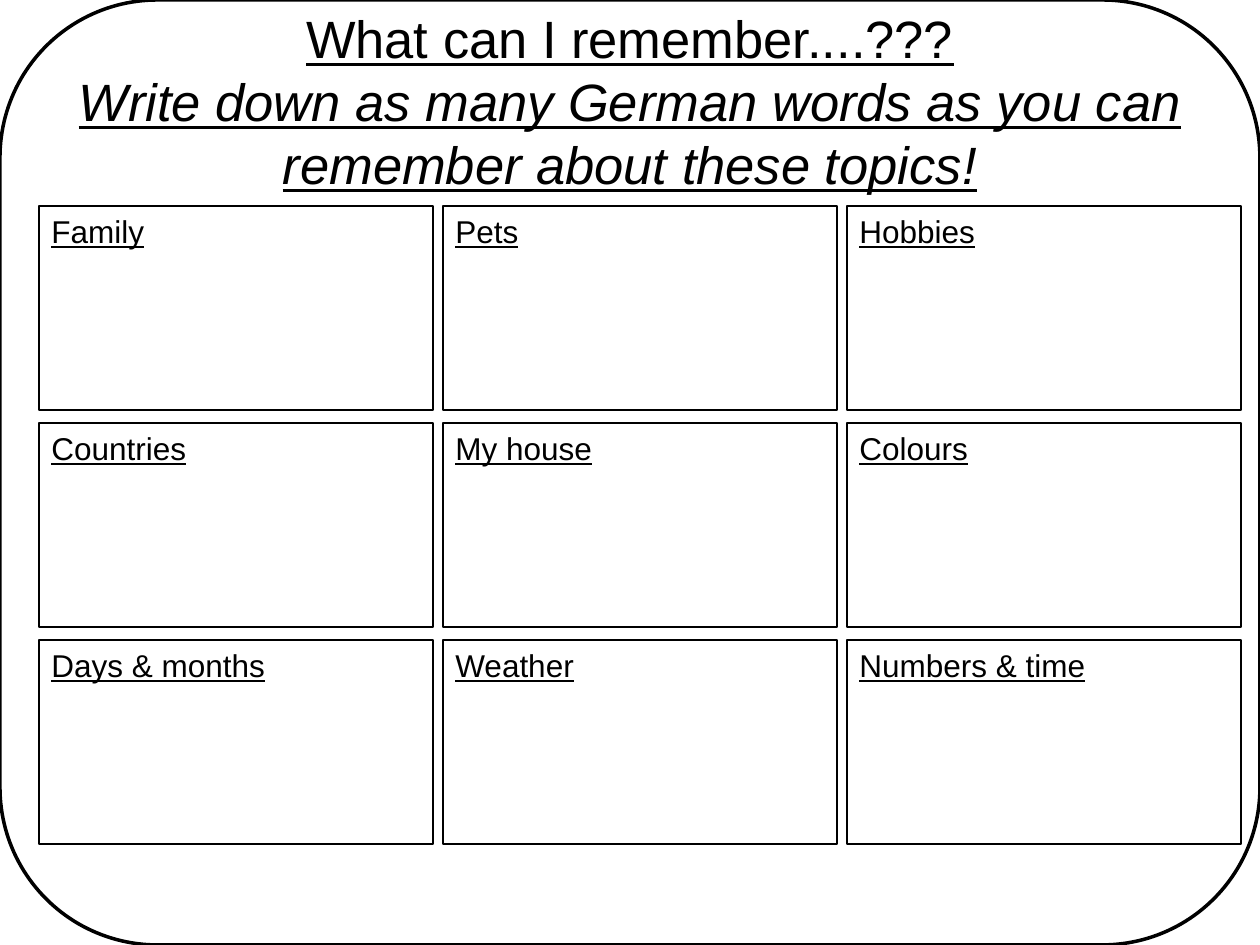
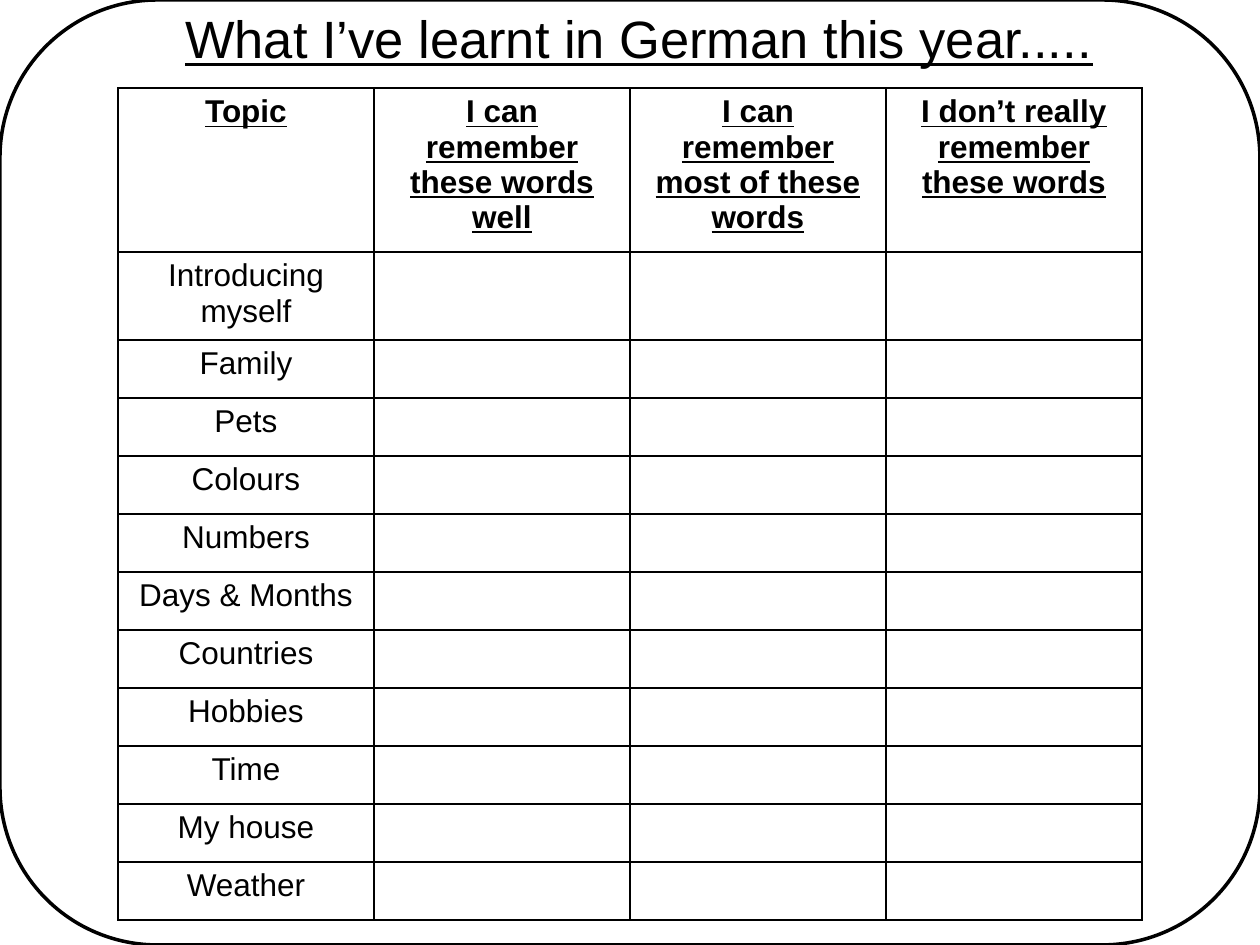
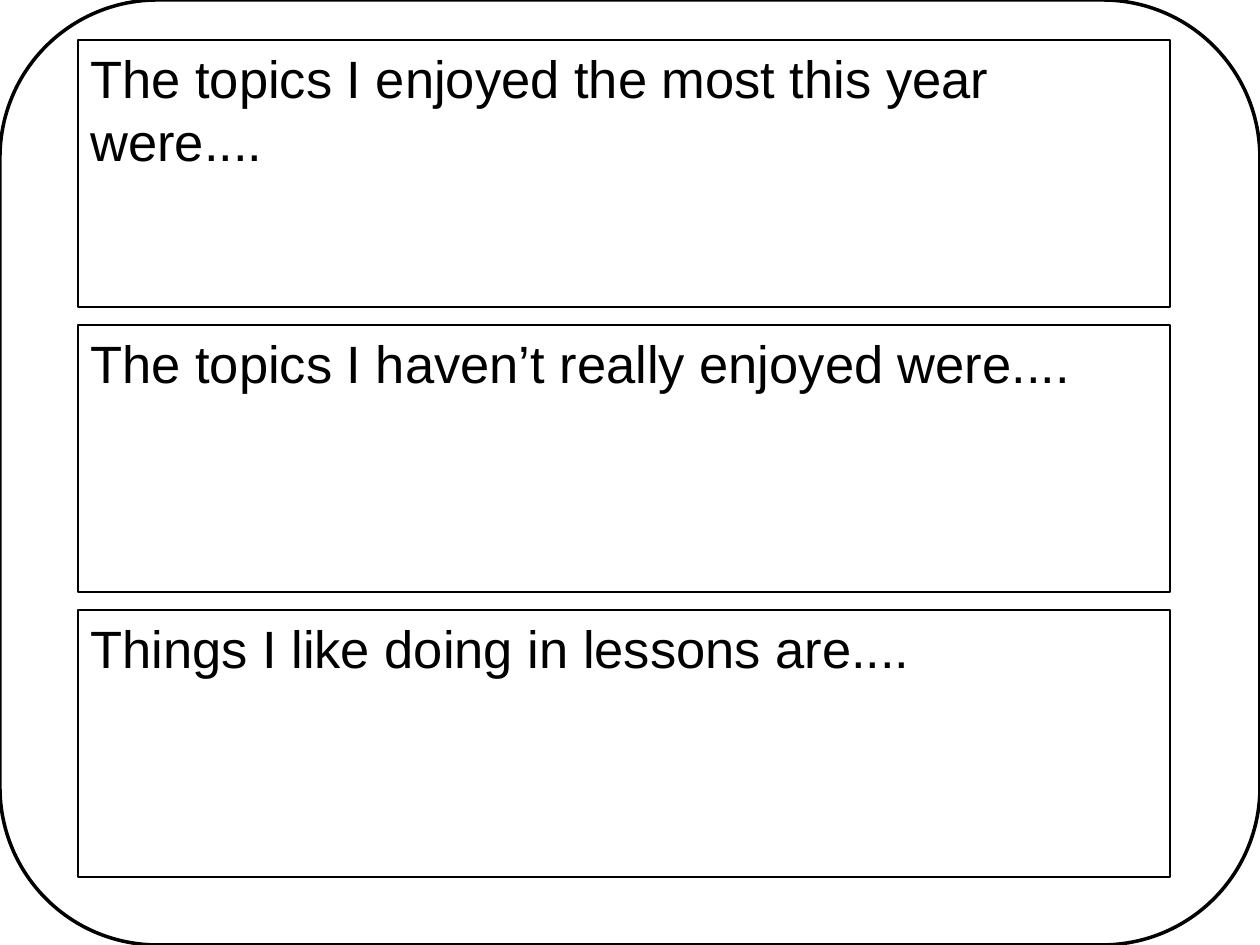
"""Build a three-slide German end-of-year review worksheet."""
from dataclasses import dataclass

from lxml import etree
from pptx import Presentation
from pptx.dml.color import RGBColor
from pptx.enum.shapes import MSO_SHAPE
from pptx.enum.text import MSO_ANCHOR, MSO_AUTO_SIZE, PP_ALIGN
from pptx.oxml.ns import qn
from pptx.util import Inches, Pt

ROUNDED, RECTANGLE = MSO_SHAPE.ROUNDED_RECTANGLE, MSO_SHAPE.RECTANGLE
LEFT, CENTER = PP_ALIGN.LEFT, PP_ALIGN.CENTER
TOP, NO_AUTOFIT = MSO_ANCHOR.TOP, MSO_AUTO_SIZE.NONE
PX = Inches(1) / 126


@dataclass(frozen=True)
class Theme:
    ink: RGBColor = RGBColor(0, 0, 0)
    paper: RGBColor = RGBColor(255, 255, 255)
    font: str = "Arial"
    large: int = Pt(30)
    small: int = Pt(18)
    frame_line: int = Pt(2)
    box_line: int = Pt(0.75)
    table_line: int = Pt(1)


THEME = Theme()


def write_text(text_frame, text, alignment, **font_values):
    text_frame.text = text
    for paragraph in text_frame.paragraphs:
        paragraph.alignment = alignment
        for name, value in {"name": THEME.font, **font_values}.items():
            setattr(paragraph.font, name, value)
        paragraph.font.color.rgb = THEME.ink


def add_outline(slide, preset, bounds, line_width):
    shape = slide.shapes.add_shape(preset, *[round(length * PX) for length in bounds])
    shape.shadow.inherit = False
    shape.fill.background()
    shape.line.color.rgb = THEME.ink
    shape.line.width = line_width
    return shape


presentation = Presentation()
presentation.slide_width = Inches(10)
presentation.slide_height = Inches(7.5)

TITLE_ONLY, BLANK = presentation.slide_layouts[5], presentation.slide_layouts[6]
SLIDE_TITLES = [
    ("What can I remember....???\n"
     "Write down as many German words as you can remember about these topics!",
     (0, 0, 1260, 202)),
    ("What I’ve learnt in German this year.....", (88, 0, 1102, 76)),
    None,
]

for heading in SLIDE_TITLES:
    slide = presentation.slides.add_slide(TITLE_ONLY if heading else BLANK)
    frame = add_outline(slide, ROUNDED, (0, 0, 1260, 945), THEME.frame_line)
    frame.fill.solid()
    frame.fill.fore_color.rgb = THEME.paper
    if heading:
        text, bounds = heading
        title = slide.shapes.title
        title.element.addprevious(frame.element)
        for name, length in zip(("left", "top", "width", "height"), bounds):
            setattr(title, name, round(length * PX))
        title.text_frame.auto_size = NO_AUTOFIT
        title.text_frame.vertical_anchor = TOP
        write_text(title.text_frame, text, CENTER, size=THEME.large, underline=True)

topic_slide, progress_slide, opinion_slide = presentation.slides
topic_slide.shapes.title.text_frame.paragraphs[1].font.italic = True

TOPIC_GRID = [
    ["Family", "Pets", "Hobbies"],
    ["Countries", "My house", "Colours"],
    ["Days & months", "Weather", "Numbers & time"],
]
OPINIONS = [
    "The topics I enjoyed the most this year were....",
    "The topics I haven’t really enjoyed were....",
    "Things I like doing in lessons are....",
]

answer_boxes = [
    (topic_slide, topic, (39 + 404 * column, 206 + 217 * row, 394, 204),
     {"size": THEME.small, "underline": True})
    for row, topics in enumerate(TOPIC_GRID)
    for column, topic in enumerate(topics)
] + [
    (opinion_slide, opinion, (78, 40 + 285 * row, 1092, 267), {"size": THEME.large})
    for row, opinion in enumerate(OPINIONS)
]

for slide, text, bounds, font_values in answer_boxes:
    box = add_outline(slide, RECTANGLE, bounds, THEME.box_line)
    box.text_frame.word_wrap = True
    box.text_frame.vertical_anchor = TOP
    write_text(box.text_frame, text, LEFT, **font_values)

HEADERS = [
    "Topic",
    "I can remember these words well",
    "I can remember most of these words",
    "I don’t really remember these words",
]
REVIEW_TOPICS = [
    "Introducing myself", "Family", "Pets", "Colours", "Numbers", "Days & Months",
    "Countries", "Hobbies", "Time", "My house", "Weather",
]
ROW_HEIGHTS = [164, 88] + [58] * 10

table_bounds = (118, 88, 256 * len(HEADERS), sum(ROW_HEIGHTS))
table = progress_slide.shapes.add_table(
    len(ROW_HEIGHTS), len(HEADERS), *[round(length * PX) for length in table_bounds]
).table
table.first_row = table.horz_banding = False

for row, height in zip(table.rows, ROW_HEIGHTS):
    row.height = round(height * PX)

table_rows = [HEADERS] + [[topic, "", "", ""] for topic in REVIEW_TOPICS]
for row_index, texts in enumerate(table_rows):
    is_header = row_index == 0
    for column_index, text in enumerate(texts):
        cell = table.cell(row_index, column_index)
        write_text(cell.text_frame, text, CENTER, size=THEME.small,
                   bold=is_header, underline=is_header)
        properties = cell._tc.get_or_add_tcPr()
        for side in ("a:lnL", "a:lnR", "a:lnT", "a:lnB"):
            border = etree.SubElement(properties, qn(side), w=str(THEME.table_line))
            fill = etree.SubElement(border, qn("a:solidFill"))
            etree.SubElement(fill, qn("a:srgbClr"), val=str(THEME.ink))
        cell.fill.background()

presentation.save("out.pptx")
